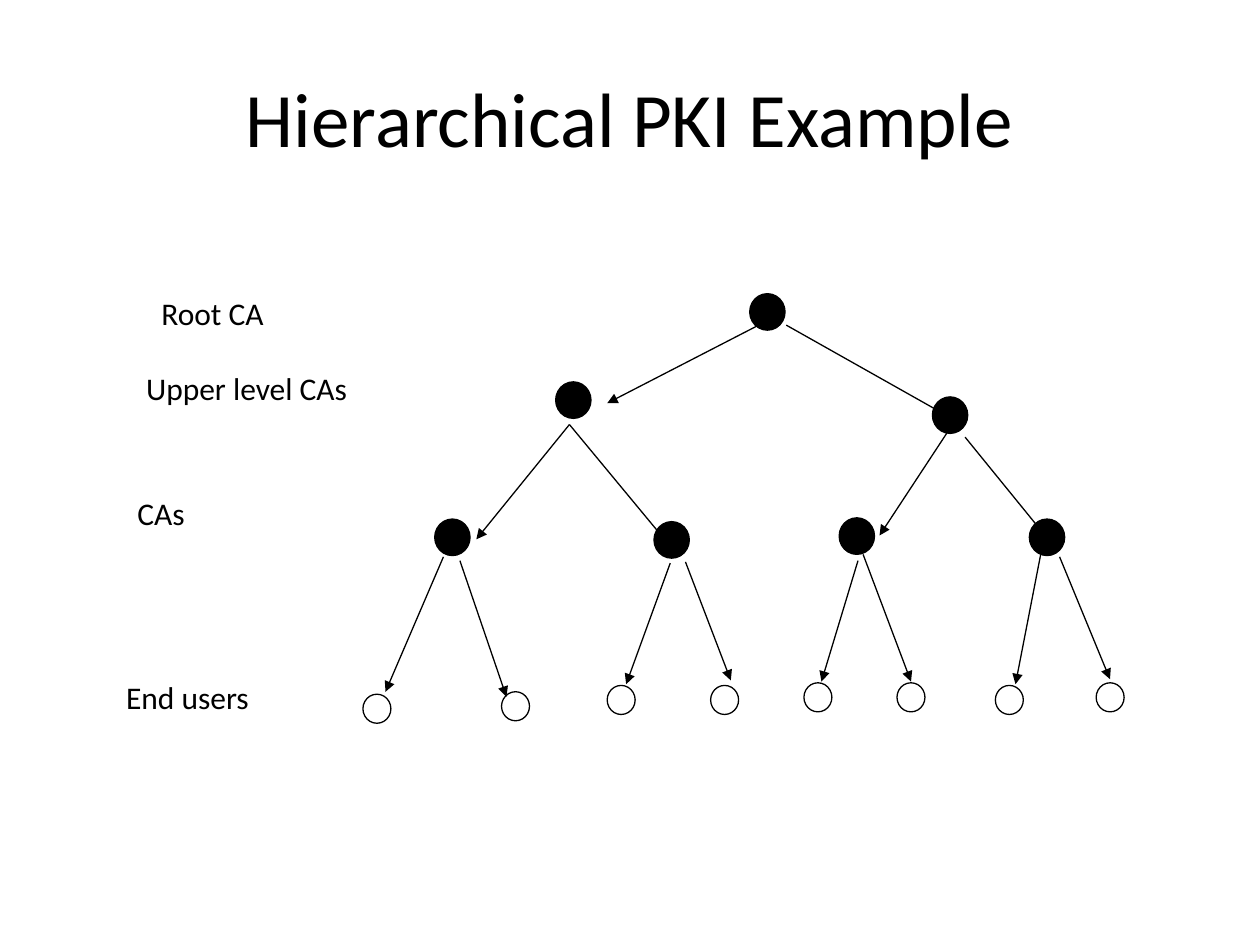
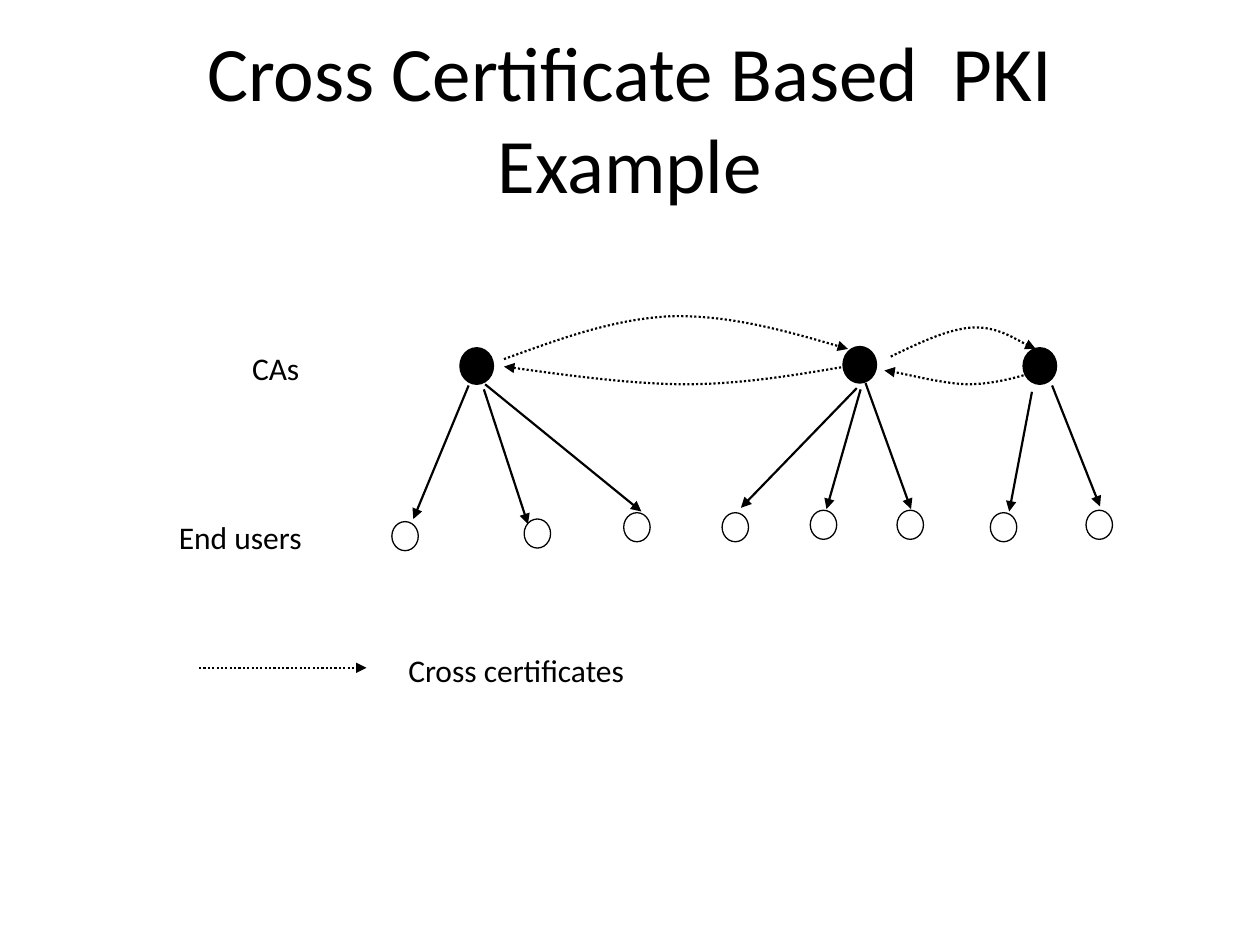
from typing import NamedTuple

from lxml.etree import SubElement
from pptx import Presentation
from pptx.dml.color import RGBColor
from pptx.enum.dml import MSO_LINE
from pptx.enum.shapes import MSO_CONNECTOR, MSO_SHAPE
from pptx.enum.text import MSO_ANCHOR as Anchor, PP_ALIGN as Align
from pptx.oxml.ns import qn
from pptx.slide import Slide
from pptx.util import Pt

# Shared style
FONT = "Calibri"
BLACK, WHITE = "000000", "FFFFFF"
THIN, MEDIUM = 0.75, 1.25
LABEL_HEIGHT = 40


class Label(NamedTuple):
    text: str
    x: float
    y: float
    w: float


class NodeSet(NamedTuple):
    """Circles of one size and fill, given by their left top corners."""
    w: float
    h: float
    fill: str
    corners: list[tuple[float, float]]


class Arrow(NamedTuple):
    x1: float
    y1: float
    x2: float
    y2: float


class Curve(NamedTuple):
    """A start point, then three points for each Bezier segment."""
    start: tuple[float, float]
    points: list[tuple[float, float]]


def rgb(color: str) -> RGBColor:
    return RGBColor.from_string(color)


def add_text(s: Slide, label: Label, h: float, size: float):
    box = s.shapes.add_textbox(Pt(label.x), Pt(label.y), Pt(label.w), Pt(h))
    tf = box.text_frame
    tf.word_wrap = True
    tf.text = label.text
    font = tf.paragraphs[0].runs[0].font
    font.name, font.size = FONT, Pt(size)
    font.color.rgb = rgb(BLACK)
    return tf


def add_title(s: Slide, text: str) -> None:
    tf = add_text(s, Label(text, 36, 21.6, 648), 90, 44)
    tf.vertical_anchor = Anchor.MIDDLE
    tf.paragraphs[0].alignment = Align.CENTER


def add_label(s: Slide, label: Label) -> None:
    tf = add_text(s, label, LABEL_HEIGHT, 18)
    tf.margin_left = tf.margin_top = tf.margin_right = tf.margin_bottom = 0


def add_nodes(s: Slide, nodes: NodeSet) -> None:
    for x, y in nodes.corners:
        sp = s.shapes.add_shape(MSO_SHAPE.OVAL, Pt(x), Pt(y), Pt(nodes.w), Pt(nodes.h))
        sp.shadow.inherit = False
        sp.fill.solid()
        sp.fill.fore_color.rgb = rgb(nodes.fill)
        sp.line.color.rgb = rgb(BLACK)
        sp.line.width = Pt(THIN)


def style_arrow(sp, width: float, dotted: bool) -> None:
    line = sp.line
    line.color.rgb = rgb(BLACK)
    line.width = Pt(width)
    if dotted:
        line.dash_style = MSO_LINE.ROUND_DOT
    sp_pr = sp._element.spPr
    SubElement(sp_pr.find(qn("a:ln")), qn("a:tailEnd"), type="triangle")
    SubElement(sp_pr, qn("a:effectLst"))


def add_arrow(s: Slide, arrow: Arrow, width: float, dotted: bool = False) -> None:
    ends = [Pt(v) for v in arrow]
    style_arrow(s.shapes.add_connector(MSO_CONNECTOR.STRAIGHT, *ends), width, dotted)


def add_curve(s: Slide, curve: Curve) -> None:
    builder = s.shapes.build_freeform(Pt(curve.start[0]), Pt(curve.start[1]))
    builder.add_line_segments([(Pt(x), Pt(y)) for x, y in curve.points], close=False)
    sp = builder.convert_to_shape()
    sp.fill.background()
    # Join each three straight segments into one Bezier segment
    outline = next(sp._element.iter(qn("a:path")))
    segments = outline.findall(qn("a:lnTo"))
    for i in range(0, len(segments), 3):
        bezier = SubElement(outline, qn("a:cubicBezTo"))
        for segment in segments[i:i + 3]:
            bezier.append(segment[0])
            outline.remove(segment)
    style_arrow(sp, MEDIUM, dotted=True)


def add_tree(prs, title: str, labels: list[Label], node_sets: list[NodeSet],
             arrows: list[Arrow], width: float) -> Slide:
    s = prs.slides.add_slide(prs.slide_layouts[6])
    add_title(s, title)
    for nodes in node_sets:
        add_nodes(s, nodes)
    for arrow in arrows:
        add_arrow(s, arrow, width)
    for label in labels:
        add_label(s, label)
    return s


# Hierarchy: root, upper level, CAs, end users
HIERARCHY_LABELS = [
    Label("Root CA", 92.2, 167.8, 142.6),
    Label("Upper level CAs", 83.5, 211, 203.8),
    Label("CAs", 78.5, 282.2, 74.9),
    Label("End users", 72, 387.4, 128.9),
]
HIERARCHY_NODES = [
    NodeSet(20.2, 20.9, BLACK, [
        (428.4, 167.8),
        (317.5, 218.2), (532.8, 226.8),
        (248.4, 296.6), (373.7, 298.1), (479.5, 295.9), (588.2, 296.6),
    ]),
    NodeSet(16, 16.6, WHITE, [
        (207.4, 396.7), (286.6, 395.3), (347, 391.7), (406.1, 391.7),
        (459.4, 390.2), (512.6, 390.2), (568.8, 391.7), (626.4, 390.2),
    ]),
]
HIERARCHY_ARROWS = [
    # Root to upper level
    Arrow(437.8, 183.6, 347, 230.4),
    Arrow(449.3, 185.8, 540, 236.9),
    # Upper level to CAs
    Arrow(325.4, 242.6, 272.2, 308.2),
    Arrow(325.4, 242.6, 380.9, 309.6),
    Arrow(541.4, 247, 502.6, 306),
    Arrow(551.5, 249.8, 599, 308.2),
    # CAs to end users
    Arrow(253.4, 318.2, 220.3, 395.3),
    Arrow(262.8, 320.4, 289.4, 398.2),
    Arrow(383, 321.8, 357.8, 391),
    Arrow(391.7, 321.1, 417.6, 388.8),
    Arrow(490.3, 320.4, 469.4, 389.5),
    Arrow(493.2, 316.8, 520.6, 389.5),
    Arrow(594.7, 316.8, 580.3, 391),
    Arrow(605.5, 318.2, 634.3, 388.1),
]

# Cross certification: CAs, end users, legend
CROSS_LABELS = [
    Label("CAs", 144, 199.4, 71.3),
    Label("End users", 102.2, 295.9, 121.7),
    Label("Cross certificates", 233.3, 372.2, 145.4),
]
CROSS_NODES = [
    NodeSet(19.2, 20.9, BLACK, [(262.8, 198.7), (481.7, 198), (584.6, 198.7)]),
    NodeSet(15.1, 16.6, WHITE, [
        (223.9, 298.1), (299.5, 296.6), (356.4, 293), (412.6, 293),
        (463, 291.6), (512.6, 291.6), (565.9, 293), (620.6, 291.6),
    ]),
]
CROSS_ARROWS = [
    Arrow(267.8, 220.3, 236.2, 296.6),
    Arrow(276.5, 222.5, 301.7, 299.5),
    Arrow(277.2, 219.6, 366.5, 292.3),
    Arrow(489.6, 221.8, 423.4, 290.2),
    Arrow(491.8, 222.5, 472.3, 290.9),
    Arrow(494.6, 218.9, 520.6, 290.9),
    Arrow(589.7, 223.9, 576.7, 292.3),
    Arrow(601.2, 220.3, 628.6, 289.4),
]
CROSS_CURVES = [
    Curve((288, 205.2), [(319.7, 193.7), (350.6, 182.2), (383.8, 180.7),
                         (416.2, 180), (450.7, 189.4), (484.6, 199.4)]),
    Curve((509, 203.8), [(525.6, 195.8), (542.2, 187.9), (555.8, 187.2),
                         (569.5, 186.5), (586.1, 197.3), (591.8, 199.4)]),
    Curve((483.1, 209.5), [(452.9, 214.6), (423.4, 219.6), (391, 219.6),
                           (358.6, 219.6), (304.6, 211.7), (288, 209.5)]),
    Curve((589.7, 213.1), [(577.4, 216.7), (565.9, 219.6), (552.2, 219.6),
                           (537.8, 218.9), (512.6, 212.4), (505.4, 211.7)]),
]
LEGEND_ARROW = Arrow(113.8, 381.6, 209.5, 381.6)


def main() -> None:
    prs = Presentation()
    prs.slide_width, prs.slide_height = Pt(720), Pt(540)
    add_tree(prs, "Hierarchical PKI Example",
             HIERARCHY_LABELS, HIERARCHY_NODES, HIERARCHY_ARROWS, THIN)
    s = add_tree(prs, "Cross Certificate Based  PKI Example",
                 CROSS_LABELS, CROSS_NODES, CROSS_ARROWS, MEDIUM)
    for curve in CROSS_CURVES:
        add_curve(s, curve)
    add_arrow(s, LEGEND_ARROW, MEDIUM, dotted=True)
    prs.save("out.pptx")


if __name__ == "__main__":
    main()
